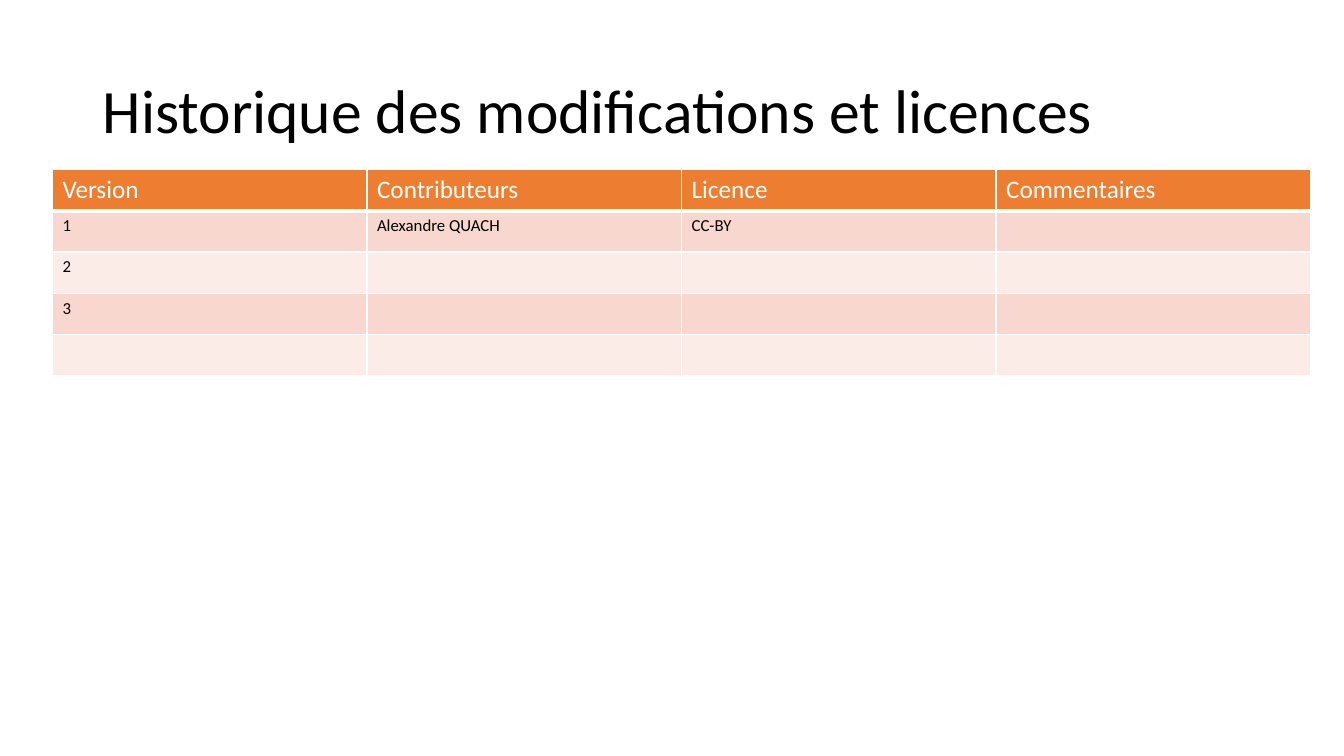
from lxml.etree import SubElement
from pptx import Presentation
from pptx.dml.color import RGBColor
from pptx.enum.text import MSO_ANCHOR
from pptx.oxml.ns import qn
from pptx.util import Inches, Pt

COLORS = {
    "text": "000000",
    "white": "FFFFFF",
    "header": "ED7D31",
    "odd_row": "F8D7CE",
    "even_row": "FCECE8",
}
HISTORY = [
    ["Version", "Contributeurs", "Licence", "Commentaires"],
    ["1", "Alexandre QUACH", "CC-BY", ""],
    ["2", "", "", ""],
    ["3", "", "", ""],
    ["", "", "", ""],
]


class SlideBuilder:
    font = "Calibri"

    def __init__(self, page):
        self.page = page

    def add_span(self, para, text, size, color):
        span = para.add_run()
        span.text = text
        span.font.name = self.font
        span.font.size = Pt(size)
        span.font.color.rgb = RGBColor.from_string(COLORS[color])

    def add_title(self, text, left, top, width, height):
        box = self.page.shapes.add_textbox(
            Inches(left), Inches(top), Inches(width), Inches(height))
        frame = box.text_frame
        frame.word_wrap = True
        frame.vertical_anchor = MSO_ANCHOR.MIDDLE
        para = frame.paragraphs[0]
        para.line_spacing = 0.9
        self.add_span(para, text, 44, "text")

    def add_borders(self, cell, bottom_width):
        """Draw white cell edges, with a chosen width at the bottom."""
        properties = cell._tc.get_or_add_tcPr()
        widths = {"a:lnL": 1, "a:lnR": 1, "a:lnT": 1, "a:lnB": bottom_width}
        for tag, width in widths.items():
            line = SubElement(properties, qn(tag), w=str(Pt(width)))
            fill = SubElement(line, qn("a:solidFill"))
            SubElement(fill, qn("a:srgbClr"), val=COLORS["white"])

    def add_table(self, rows, left, top, column_width, row_height):
        """Add a table with a coloured header and alternating row fills."""
        columns = len(rows[0])
        table = self.page.shapes.add_table(
            len(rows), columns, Inches(left), Inches(top),
            Inches(column_width * columns), Inches(row_height * len(rows))).table
        table.first_row = False
        table.horz_banding = False
        for column in table.columns:
            column.width = Inches(column_width)
        for index, texts in enumerate(rows):
            table.rows[index].height = Inches(row_height)
            if index == 0:
                fill, size, color, bottom_width = "header", 18, "white", 3
            else:
                fill = "odd_row" if index % 2 else "even_row"
                size, color, bottom_width = 12, "text", 1
            for cell, text in zip(table.rows[index].cells, texts):
                self.add_borders(cell, bottom_width)
                cell.fill.solid()
                cell.fill.fore_color.rgb = RGBColor.from_string(COLORS[fill])
                if text:
                    self.add_span(cell.text_frame.paragraphs[0], text, size, color)


def main():
    deck = Presentation()
    deck.slide_width = Inches(13.33)
    deck.slide_height = Inches(7.5)
    builder = SlideBuilder(deck.slides.add_slide(deck.slide_layouts[6]))
    builder.add_title(
        "Historique des modifications et licences", 0.92, 0.4, 11.5, 1.45)
    builder.add_table(HISTORY, 0.52, 1.68, 3.12, 0.41)
    deck.save("out.pptx")


if __name__ == "__main__":
    main()
